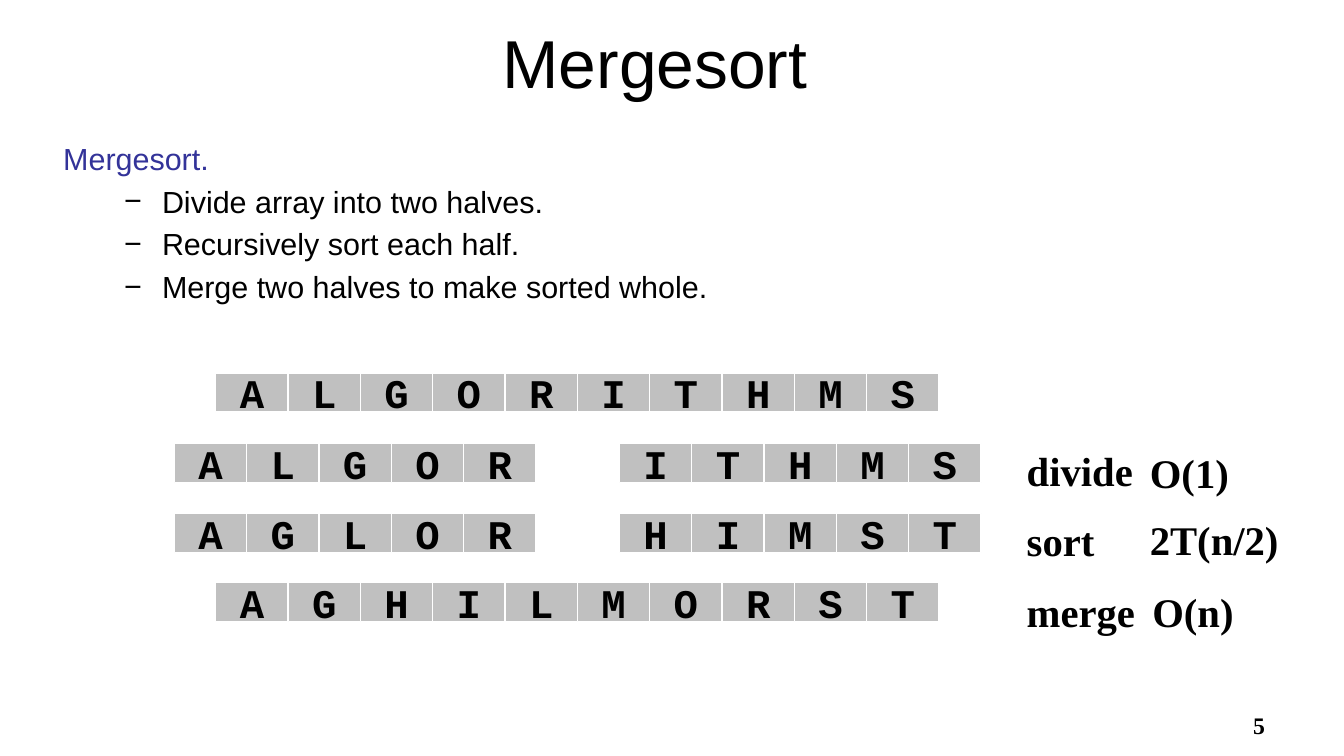
from lxml.etree import SubElement
from pptx import Presentation
from pptx.dml.color import RGBColor
from pptx.enum.shapes import MSO_SHAPE as Preset
from pptx.enum.text import MSO_ANCHOR as Anchor, MSO_AUTO_SIZE as AutoSize, PP_ALIGN as Align
from pptx.oxml.ns import qn
from pptx.util import Inches, Pt

COLORS = {"ink": "000000", "heading": "333399", "cell": "C0C0C0", "edge": "FFFFFF"}
SANS, SERIF, MONO = "Arial", "Times New Roman", "Courier New"
CELL_WIDTH = Inches(5.93) / 10
CELL_HEIGHT = Inches(0.32)
ARRAYS = [
    (1.77, 3.06, "ALGORITHMS"),
    (1.43, 3.64, "ALGOR"),
    (5.08, 3.64, "ITHMS"),
    (1.43, 4.21, "AGLOR"),
    (5.08, 4.21, "HIMST"),
    (1.77, 4.78, "AGHILMORST"),
]
LABELS = [
    (8.32, 3.61, 1.19, "divide"),
    (8.32, 4.18, 1.01, "sort"),
    (8.32, 4.76, 1.32, "merge"),
    (9.33, 3.62, 1.01, "O(1)"),
    (9.33, 4.17, 1.46, "2T(n/2)"),
    (9.35, 4.76, 1.12, "O(n)"),
]
STEPS = [
    "Divide array into two halves.",
    "Recursively sort each half.",
    "Merge two halves to make sorted whole.",
]


def rgb(name):
    """Return the named colour."""
    return RGBColor.from_string(COLORS[name])


def write(paragraph, text, *, size, font, color="ink", bold=False, align=Align.LEFT, before=0):
    """Put formatted text into a paragraph."""
    paragraph.alignment = align
    paragraph.space_before = Pt(before)
    run = paragraph.add_run()
    run.text = text
    run.font.size = Pt(size)
    run.font.name = font
    run.font.bold = bold
    run.font.color.rgb = rgb(color)


def add_dash(paragraph):
    """Give a paragraph a hanging dash bullet."""
    paragraph.level = 1
    properties = paragraph._p.get_or_add_pPr()
    properties.set("marL", str(Inches(0.81)))
    properties.set("indent", str(Inches(-0.31)))
    dash_color = SubElement(properties, qn("a:buClr"))
    SubElement(dash_color, qn("a:srgbClr"), val=COLORS["ink"])
    SubElement(properties, qn("a:buFont"), typeface=SANS)
    SubElement(properties, qn("a:buChar"), char="−")


def add_text(slide, left, top, width, height, anchor=Anchor.TOP):
    """Add a wrapping text box and return its frame."""
    place = [Inches(length) for length in (left, top, width, height)]
    frame = slide.shapes.add_textbox(*place).text_frame
    frame.word_wrap = True
    frame.vertical_anchor = anchor
    return frame


def add_rectangle(shapes, left, top, width, height, fill=None):
    """Add a white-edged rectangle and return its text frame."""
    rectangle = shapes.add_shape(Preset.RECTANGLE, left, top, width, height)
    rectangle.shadow.inherit = False
    if fill:
        rectangle.fill.solid()
        rectangle.fill.fore_color.rgb = rgb(fill)
    else:
        rectangle.fill.background()
    rectangle.line.color.rgb = rgb("edge")
    rectangle.line.width = Pt(0.75)
    return rectangle.text_frame


def add_array(slide, left, top, letters):
    """Add a grouped row of letter cells."""
    row = slide.shapes.add_group_shape()
    for index, letter in enumerate(letters):
        cell_left = Inches(left) + round(index * CELL_WIDTH)
        frame = add_rectangle(row.shapes, cell_left, Inches(top), round(CELL_WIDTH), CELL_HEIGHT, "cell")
        frame.word_wrap = False
        frame.vertical_anchor = Anchor.MIDDLE
        write(frame.paragraphs[0], letter, size=24, font=MONO, bold=True, align=Align.CENTER)


def add_label(slide, left, top, width, text):
    """Add a phase name or its cost beside the arrays."""
    frame = add_rectangle(slide.shapes, Inches(left), Inches(top), Inches(width), Inches(0.5))
    frame.word_wrap = True
    frame.auto_size = AutoSize.SHAPE_TO_FIT_TEXT
    frame.vertical_anchor = Anchor.TOP
    write(frame.paragraphs[0], text, size=24, font=SERIF, bold=True, before=12)


def add_outline(slide):
    """Add the heading and the three steps of the algorithm."""
    frame = add_text(slide, 0.42, 1.1, 9.92, 4.59)
    write(frame.paragraphs[0], "Mergesort.", size=18, font=SANS, color="heading", before=3.6)
    for step in STEPS:
        paragraph = frame.add_paragraph()
        write(paragraph, step, size=18, font=SANS, before=3.6)
        add_dash(paragraph)


def main():
    """Build and save the slide."""
    deck = Presentation()
    deck.slide_width, deck.slide_height = Inches(11.02), Inches(6.2)
    slide = deck.slides.add_slide(deck.slide_layouts[6])
    title = add_text(slide, 0.41, 0.09, 9.92, 0.82, Anchor.MIDDLE)
    write(title.paragraphs[0], "Mergesort", size=40, font=SANS, align=Align.CENTER)
    add_outline(slide)
    page_number = add_text(slide, 7.9, 5.78, 2.57, 0.29)
    write(page_number.paragraphs[0], "5", size=14, font=SERIF, bold=True, align=Align.RIGHT)
    for array in ARRAYS:
        add_array(slide, *array)
    for label in LABELS:
        add_label(slide, *label)
    deck.save("out.pptx")


if __name__ == "__main__":
    main()
